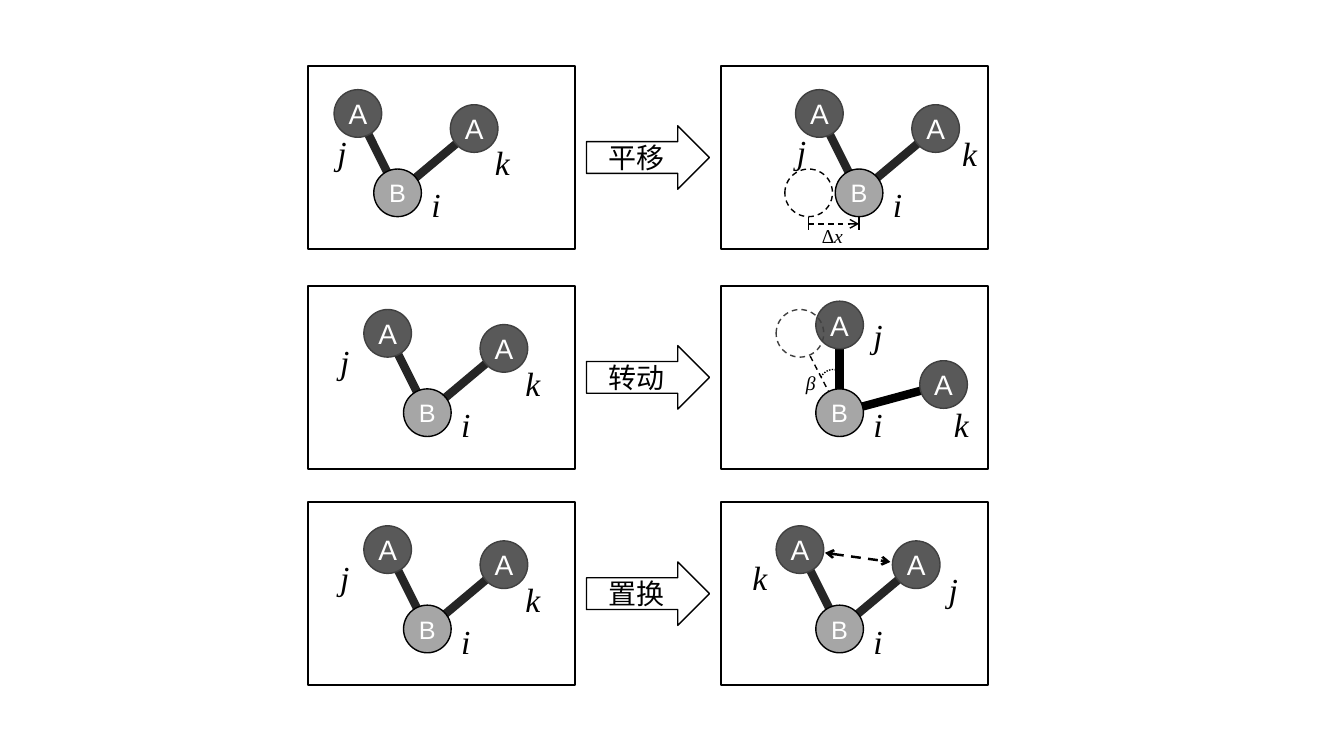
from pptx import Presentation
from pptx import util as u
from pptx.dml.color import RGBColor
from pptx.enum import dml, shapes, text
from pptx.oxml.ns import qn
from lxml import etree

BOX_W, BOX_H = 6.73, 4.62
LEFT_X, RIGHT_X = 7.77, 18.16
ATOM = 1.2
DASH = dml.MSO_LINE.DASH
A_FILL, A_LINE = "595959", "404040"
FRAME = {"margin_left": 0, "margin_right": 0, "margin_top": 0, "margin_bottom": 0,
         "word_wrap": False, "vertical_anchor": text.MSO_ANCHOR.MIDDLE}
LABEL = {"word_wrap": True, "auto_size": text.MSO_AUTO_SIZE.SHAPE_TO_FIT_TEXT}

# Arms of the molecule, measured from the centre of atom B
UP_LEFT, UP_RIGHT = (-1.0, -2.0), (1.93, -1.62)
UP, RIGHT = (0, -2.21), (2.62, -0.71)
I_POS = (0.6, -0.34)


def rgb(value):
    return RGBColor.from_string(value)


def set_values(obj, values):
    for name, value in values.items():
        setattr(obj, name, value)


def set_line(line, color, width, dash=None):
    line.color.rgb = rgb(color)
    line.width = u.Pt(width)
    if dash:
        line.dash_style = dash


def write(tf, words, size, font="Arial", color="000000", italic=False,
          align=text.PP_ALIGN.LEFT, frame=LABEL):
    set_values(tf, frame)
    p = tf.paragraphs[0]
    p.alignment = align
    r = p.add_run()
    r.text = words
    set_values(r.font, {"name": font, "size": u.Pt(size), "italic": italic})
    r.font.color.rgb = rgb(color)


def add_shape(s, kind, x, y, w, h, fill=None, line="000000", width=1, dash=None):
    sp = s.shapes.add_shape(kind, u.Cm(x), u.Cm(y), u.Cm(w), u.Cm(h))
    sp.shadow.inherit = False
    if fill:
        sp.fill.solid()
        sp.fill.fore_color.rgb = rgb(fill)
    else:
        sp.fill.background()
    set_line(sp.line, line, width, dash)
    return sp


def add_line(s, start, end, color="000000", width=1, dash=None, arrows=()):
    cx = s.shapes.add_connector(shapes.MSO_CONNECTOR.STRAIGHT,
                                *(u.Cm(v) for v in (*start, *end)))
    set_line(cx.line, color, width, dash)
    ln = cx.line._get_or_add_ln()
    for tag in arrows:
        etree.SubElement(ln, qn("a:" + tag), type="arrow")
    etree.SubElement(cx._element.spPr, qn("a:effectLst"))


def add_label(s, words, x, y, size=24, w=1.27, h=1.27):
    tb = s.shapes.add_textbox(u.Cm(x), u.Cm(y), u.Cm(w), u.Cm(h))
    write(tb.text_frame, words, size, "Times New Roman", italic=True)


def add_atom(s, center, name="", size=20, **look):
    x, y = (v - ATOM / 2 for v in center)
    sp = add_shape(s, shapes.MSO_SHAPE.OVAL, x, y, ATOM, ATOM, **look)
    if name:
        write(sp.text_frame, name, size, color="FFFFFF",
              align=text.PP_ALIGN.CENTER, frame=FRAME)


def shift(point, offset):
    return point[0] + offset[0], point[1] + offset[1]


def add_panel(s, x, y, b_x, labels, arms=(UP_LEFT, UP_RIGHT), bond="262626", under=None):
    """Box with one molecule; returns the centre of atom B."""
    add_shape(s, shapes.MSO_SHAPE.RECTANGLE, x, y, BOX_W, BOX_H, "FFFFFF", width=1.5)
    b = (x + b_x, y + 3.2)
    if under:
        under(s, b)
    for arm in arms:
        add_line(s, b, shift(b, arm), bond, 6)
    for arm in arms:
        add_atom(s, shift(b, arm), "A", fill=A_FILL, line=A_LINE)
    add_atom(s, b, "B", 18, fill="A6A6A6")
    for words, offset in labels.items():
        add_label(s, words, *shift(b, offset))
    return b


def add_step_arrow(s, y, words):
    sp = add_shape(s, shapes.MSO_SHAPE.RIGHT_ARROW, LEFT_X + BOX_W + 0.28, y + 1.51, 3.1, 1.6)
    write(sp.text_frame, words, 20, frame={**FRAME, "margin_left": u.Cm(0.56)})


# Marks that explain each move, placed from the centre of atom B
def mark_shift(s, b):
    old = shift(b, (-1.27, 0))
    add_atom(s, old, dash=DASH)
    for x, y in (old, b):
        add_line(s, (x, y + 0.6), (x, y + 0.94))
    add_line(s, shift(old, (0, 0.78)), shift(b, (0, 0.78)), dash=DASH, arrows=["tailEnd"])
    add_label(s, "∆x", *shift(b, (-1.18, 0.65)), 14, 1.14, 0.86)


def mark_old_bond(s, b):
    add_line(s, b, shift(b, (-0.75, -1.44)), dash=DASH)


def mark_turn(s, b):
    add_atom(s, shift(b, UP_LEFT), line=A_LINE, dash=DASH)
    arc = add_shape(s, shapes.MSO_SHAPE.ARC, *shift(b, (-0.52, -1.08)), 0.69, 0.66,
                    dash=dml.MSO_LINE.ROUND_DOT)
    arc.rotation = 296
    add_label(s, "β", *shift(b, (-1.1, -1.18)), 14, 0.84, 0.86)


def mark_swap(s, b):
    add_line(s, shift(b, (-0.37, -1.92)), shift(b, (1.28, -1.69)), width=1.75,
             dash=DASH, arrows=["headEnd", "tailEnd"])


def add_row(s, y, words, before, after, mark):
    add_panel(s, LEFT_X, y, **before)
    add_step_arrow(s, y, words)
    mark(s, add_panel(s, RIGHT_X, y, **after))


def main():
    prs = Presentation()
    prs.slide_width, prs.slide_height = u.Cm(33.87), u.Cm(19.05)
    s = prs.slides.add_slide(prs.slide_layouts[6])

    start = {"b_x": 3.0, "labels": {"i": I_POS, "j": (-2.45, -1.94), "k": (2.22, -1.38)}}

    # Translation
    add_row(s, 1.66, "平移",
            {"b_x": 2.25, "labels": {"i": I_POS, "j": (-1.77, -1.66), "k": (2.2, -1.41)}},
            {"b_x": 3.49, "labels": {"i": I_POS, "j": (-1.82, -1.69), "k": (2.35, -1.64)}},
            mark_shift)
    # Rotation
    add_row(s, 7.2, "转动", start,
            {"b_x": 3.0, "labels": {"i": I_POS, "j": (0.6, -2.58), "k": (2.63, -0.34)},
             "arms": (UP, RIGHT), "bond": "000000", "under": mark_old_bond},
            mark_turn)
    # Exchange
    add_row(s, 12.65, "置换", start,
            {"b_x": 3.0, "labels": {"i": I_POS, "k": (-2.45, -1.94), "j": (2.5, -1.64)}},
            mark_swap)

    prs.save("out.pptx")


if __name__ == "__main__":
    main()
